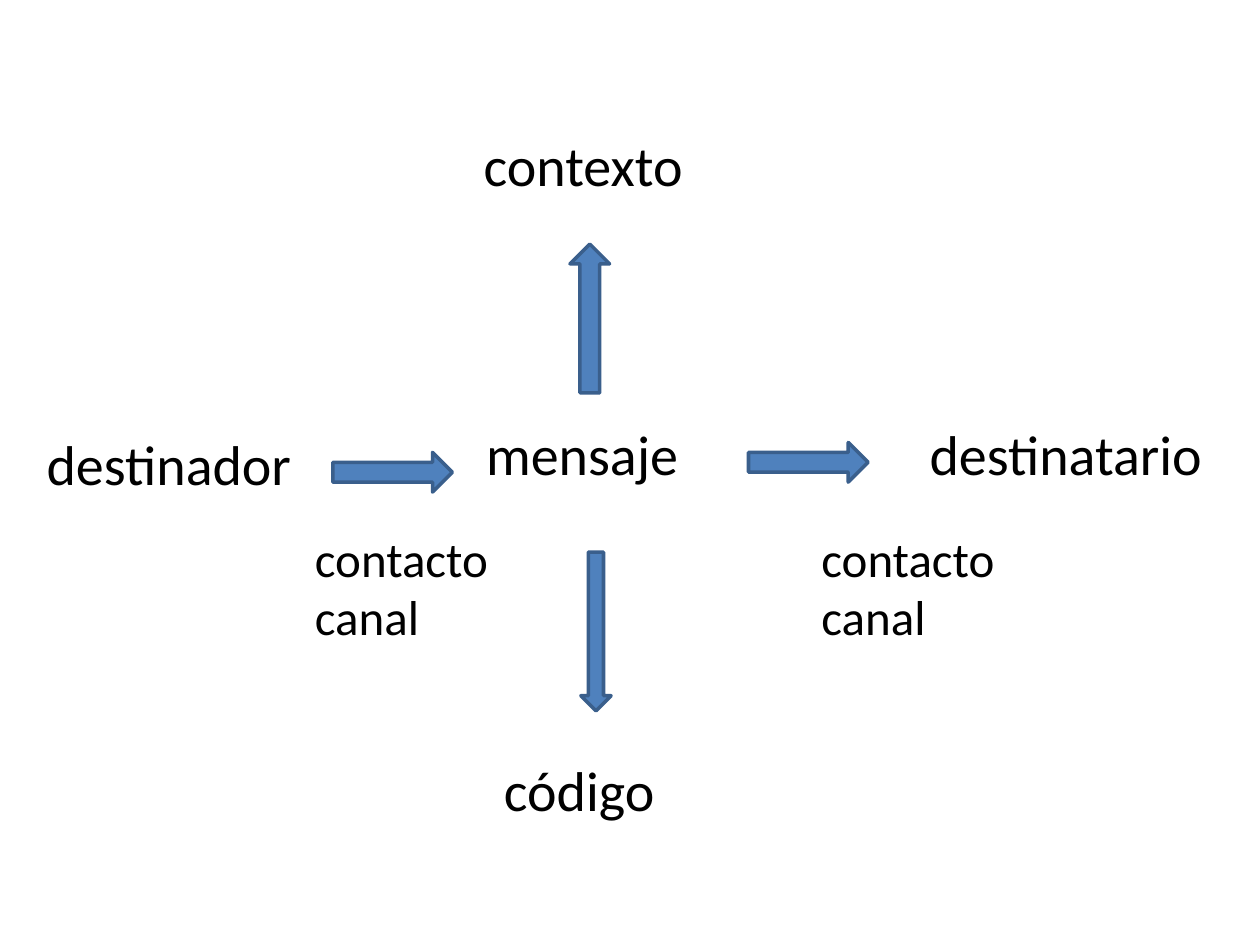
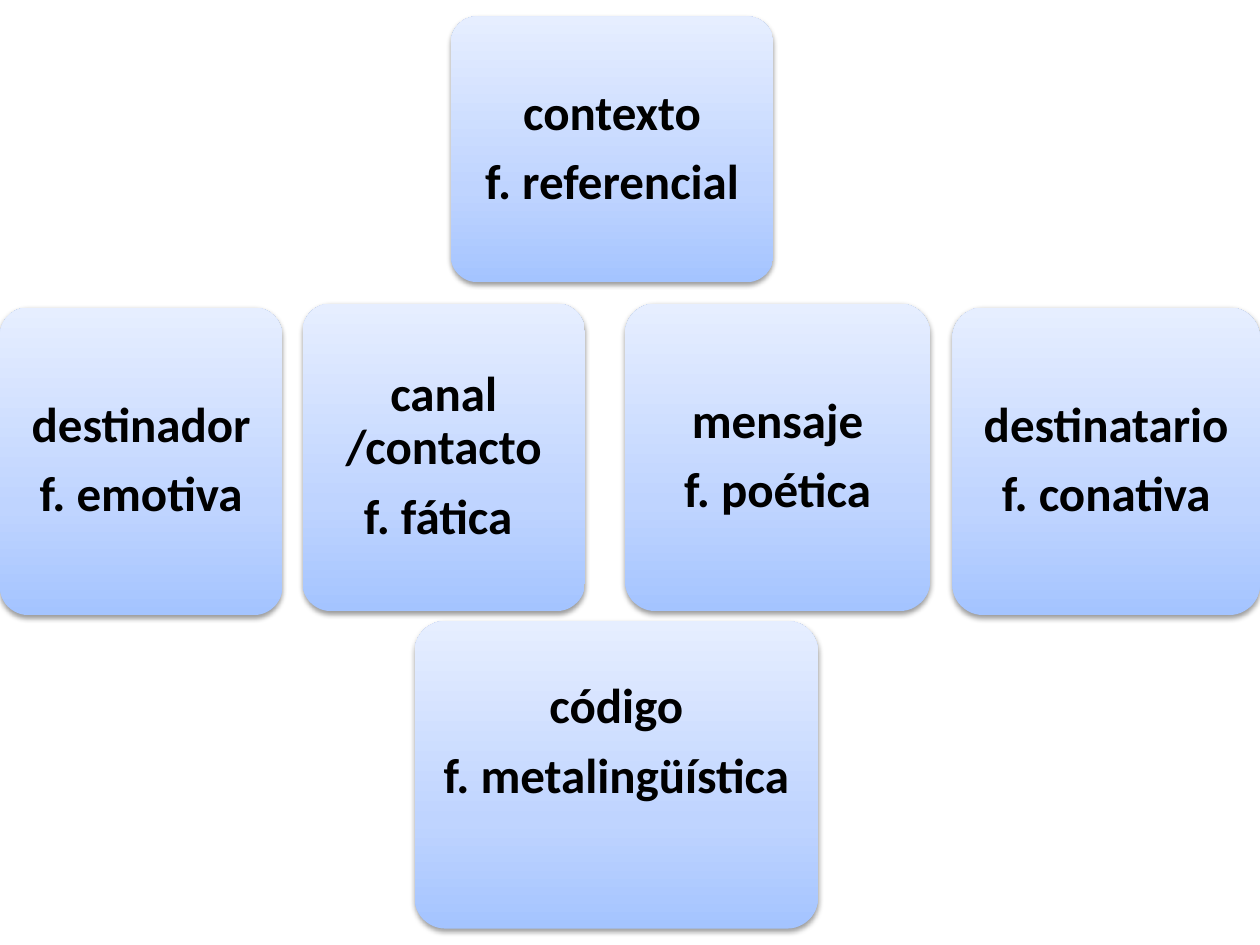
import pptx
import pptx.dml.color
import pptx.enum.shapes
import pptx.enum.text
import pptx.oxml
import pptx.oxml.ns
import pptx.util

Cm = pptx.util.Cm
Pt = pptx.util.Pt
RGBColor = pptx.dml.color.RGBColor
Shape = pptx.enum.shapes.MSO_SHAPE
Align = pptx.enum.text.PP_ALIGN
Anchor = pptx.enum.text.MSO_ANCHOR

FONT = "Calibri"
BLACK = RGBColor(0x00, 0x00, 0x00)
ARROW_FILL = RGBColor(0x4F, 0x81, 0xBD)
ARROW_LINE = RGBColor(0x3A, 0x5F, 0x8C)
CARD_BOTTOM = RGBColor(0xA4, 0xC4, 0xFF)
CARD_MIDDLE = RGBColor(0xBF, 0xD4, 0xFF)
CARD_TOP = RGBColor(0xE6, 0xEE, 0xFF)

SLIDE_WIDTH, SLIDE_HEIGHT = 25.4, 19.05
CARD_HEIGHT = 6.2
CARD_INSET = 0.14
NAMESPACE = pptx.oxml.ns.nsdecls("a")


def write_text(frame, lines, size, bold=False, align=Align.LEFT,
               anchor=Anchor.TOP, line_spacing=None, gap=0):
    """Write one paragraph per line, with gap points between them."""
    frame.word_wrap = True
    frame.vertical_anchor = anchor
    for index, line in enumerate(lines):
        paragraph = frame.add_paragraph() if index else frame.paragraphs[0]
        paragraph.alignment = align
        paragraph.line_spacing = line_spacing
        paragraph.space_before = Pt(gap if index else 0)
        run = paragraph.add_run()
        run.text = line
        run.font.name = FONT
        run.font.size = Pt(size)
        run.font.bold = bold
        run.font.color.rgb = BLACK


def add_label(slide, lines, left, top, width, height=1.63, size=32):
    box = slide.shapes.add_textbox(Cm(left), Cm(top), Cm(width), Cm(height))
    write_text(box.text_frame, lines, size)


def add_arrow(slide, kind, left, top, width, height):
    arrow = slide.shapes.add_shape(kind, Cm(left), Cm(top), Cm(width), Cm(height))
    arrow.shadow.inherit = False
    arrow.fill.solid()
    arrow.fill.fore_color.rgb = ARROW_FILL
    arrow.line.color.rgb = ARROW_LINE
    arrow.line.width = Pt(2)


def style_card(card):
    """Give the card its upward gradient and soft shadow."""
    card.line.fill.background()
    stops = "".join(
        f'<a:gs pos="{position * 1000}"><a:srgbClr val="{color}"/></a:gs>'
        for position, color in ((0, CARD_BOTTOM), (35, CARD_MIDDLE), (100, CARD_TOP)))
    gradient = pptx.oxml.parse_xml(
        f'<a:gradFill {NAMESPACE} rotWithShape="1"><a:gsLst>{stops}</a:gsLst>'
        '<a:lin ang="16200000" scaled="0"/></a:gradFill>')
    effects = pptx.oxml.parse_xml(
        f'<a:effectLst {NAMESPACE}><a:outerShdw blurRad="{Pt(3.1)}" dist="{Pt(1.6)}" '
        f'dir="5400000" rotWithShape="0"><a:srgbClr val="{BLACK}">'
        '<a:alpha val="38000"/></a:srgbClr></a:outerShdw></a:effectLst>')
    properties = card._element.spPr
    properties.find(pptx.oxml.ns.qn("a:prstGeom")).addnext(gradient)
    properties.append(effects)


def add_card(slide, lines, left, top, width, height=CARD_HEIGHT, raised=0):
    """Add a rounded card; raised is extra room kept below its text."""
    card = slide.shapes.add_shape(
        Shape.ROUNDED_RECTANGLE, Cm(left), Cm(top), Cm(width), Cm(height))
    card.adjustments[0] = 0.1
    style_card(card)
    frame = card.text_frame
    frame.margin_left = frame.margin_right = frame.margin_top = Cm(CARD_INSET)
    frame.margin_bottom = Cm(CARD_INSET + raised)
    write_text(frame, lines, 28, bold=True, align=Align.CENTER,
               anchor=Anchor.MIDDLE, line_spacing=0.9, gap=9.5)


def build_communication_model(slide, left, top):
    for text, x, y, width in (
            ("contexto", 9.5, 2.51, 7.29),
            ("destinador", 0.69, 8.53, 5.79),
            ("mensaje", 9.55, 8.33, 5.2),
            ("destinatario", 18.49, 8.33, 6.6),
            ("código", 9.91, 15.11, 4.67)):
        add_label(slide, [text], left + x, top + y, width)
    for x in (6.1, 16.31):
        add_label(slide, ["contacto", "canal"], left + x, top + 10.52, 4.29,
                  height=2.64, size=28)
    for kind, x, y, width, height in (
            (Shape.RIGHT_ARROW, 6.71, 9.12, 2.41, 0.8),
            (Shape.RIGHT_ARROW, 15.09, 8.92, 2.41, 0.8),
            (Shape.UP_ARROW, 11.49, 4.92, 0.8, 3),
            (Shape.DOWN_ARROW, 11.71, 11.13, 0.61, 3.2)):
        add_arrow(slide, kind, left + x, top + y, width, height)


def build_language_functions(slide, left, top):
    add_card(slide, ["contexto", "f. referencial"], left + 9.09, top + 0.33, 6.5,
             height=5.36)
    for lines, x, y, width in (
            (["destinador", "f. emotiva"], 0, 6.2, 5.69),
            (["canal /contacto", "f. fática "], 6.1, 6.12, 5.69),
            (["mensaje", "f. poética"], 12.6, 6.12, 6.15),
            (["destinatario", "f. conativa"], 19.2, 6.2, 6.2)):
        add_card(slide, lines, left + x, top + y, width)
    add_card(slide, ["código", "f. metalingüística"], left + 8.36, top + 12.52, 8.13,
             raised=1.29)


def main():
    presentation = pptx.Presentation()
    presentation.slide_width = Cm(SLIDE_WIDTH)
    presentation.slide_height = Cm(SLIDE_HEIGHT)
    blank = presentation.slide_layouts[6]
    for build in (build_communication_model, build_language_functions):
        build(presentation.slides.add_slide(blank), 0, 0)
    presentation.save("out.pptx")


if __name__ == "__main__":
    main()
